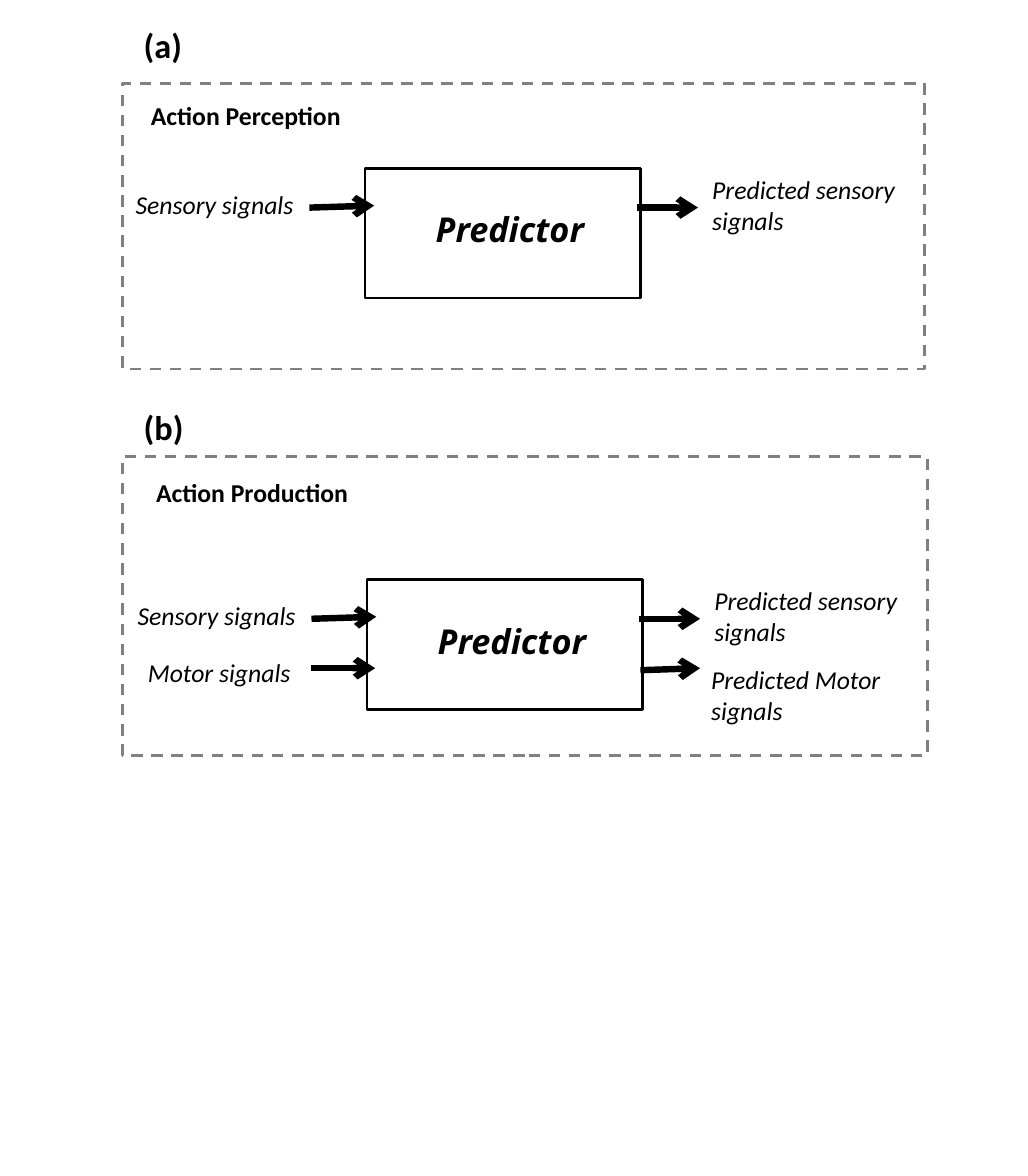
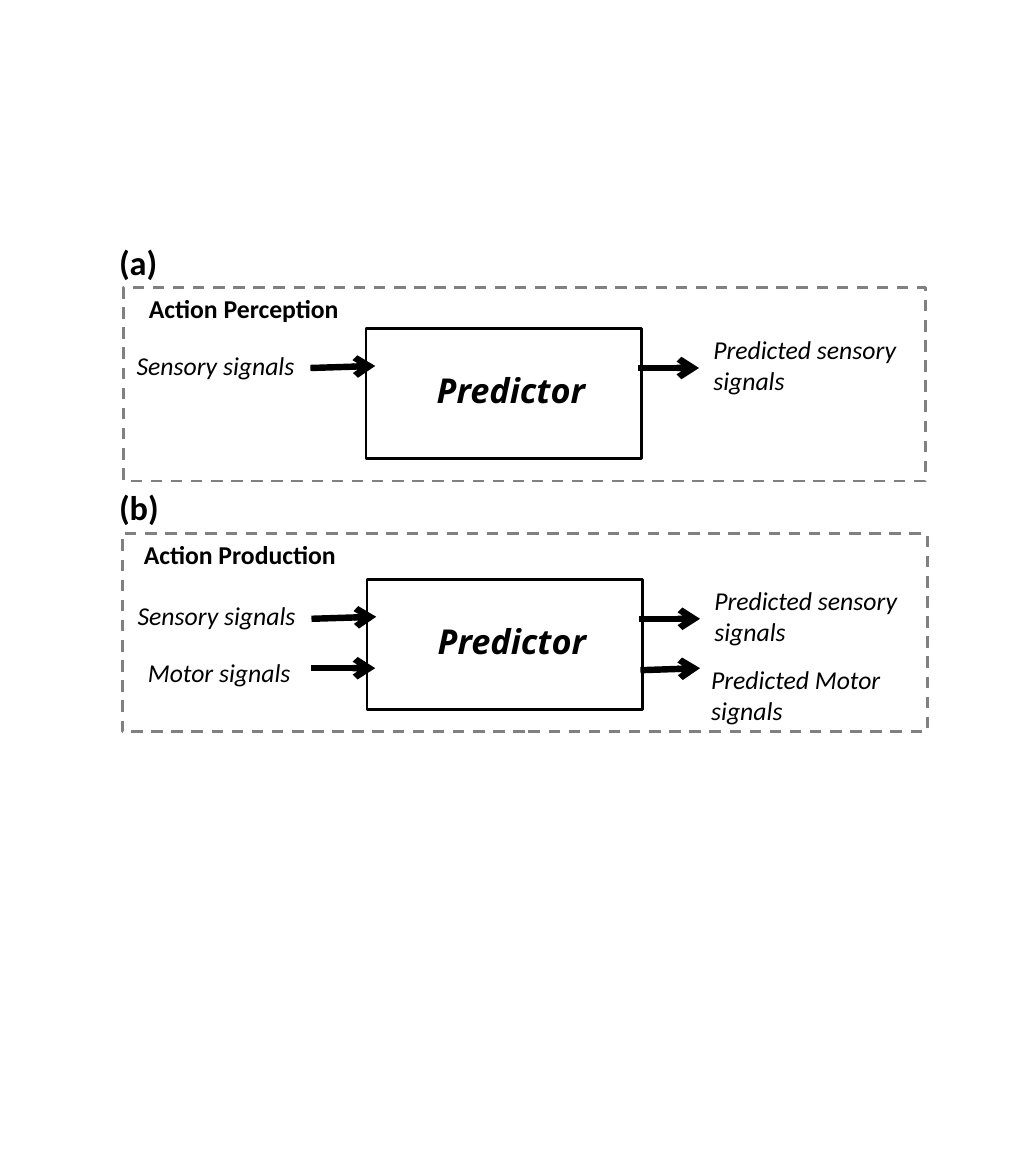
from dataclasses import dataclass

from pptx import Presentation
from pptx.dml.color import RGBColor
from pptx.enum import dml, shapes, text
from pptx.oxml.ns import qn
from pptx.util import Inches, Pt
from lxml import etree

BLACK = RGBColor(0x00, 0x00, 0x00)
WHITE = RGBColor(0xFF, 0xFF, 0xFF)
GREY = RGBColor(0x80, 0x80, 0x80)
BODY_FONT = "Calibri"
PREDICTOR_FONT = "Open Sans"
PREDICTOR_SIZE = (2.68, 1.26)


@dataclass
class Signal:
    source: str
    source_box: tuple
    arrow_in: tuple
    arrow_out: tuple
    prediction: str
    prediction_box: tuple


SENSORY = Signal("Sensory signals", (-2.33, 0.15, 1.75, 0.4),
                 (-0.54, 0.38, 0.09, 0.36), (2.65, 0.38, 3.24, 0.38),
                 "Predicted sensory signals", (3.28, 0, 2.01, 0.71))
MOTOR = Signal("Motor signals", (-2.23, 0.7, 1.6, 0.4),
               (-0.54, 0.86, 0.08, 0.86), (2.66, 0.88, 3.24, 0.86),
               "Predicted Motor signals", (3.25, 0.77, 2.04, 0.71))


@dataclass
class Panel:
    mark: str
    mark_at: tuple
    heading: str
    heading_box: tuple
    frame: tuple
    predictor_at: tuple
    signals: tuple


def add_label(slide, box, words, size=18, font=BODY_FONT, bold=False,
              italic=False, wrap=True, align=text.PP_ALIGN.LEFT):
    label = slide.shapes.add_textbox(*map(Inches, box))
    frame = label.text_frame
    frame.word_wrap = wrap
    frame.auto_size = text.MSO_AUTO_SIZE.SHAPE_TO_FIT_TEXT
    paragraph = frame.paragraphs[0]
    paragraph.alignment = align
    run = paragraph.add_run()
    run.text = words
    run.font.name = font
    run.font.size = Pt(size)
    run.font.bold = bold
    run.font.italic = italic
    run.font.color.rgb = BLACK


def add_rectangle(slide, box, color, fill=None, dash=None):
    rectangle = slide.shapes.add_shape(
        shapes.MSO_SHAPE.RECTANGLE, *map(Inches, box))
    rectangle.shadow.inherit = False
    if fill is None:
        rectangle.fill.background()
    else:
        rectangle.fill.solid()
        rectangle.fill.fore_color.rgb = fill
    rectangle.line.color.rgb = color
    rectangle.line.width = Pt(2)
    if dash is not None:
        rectangle.line.dash_style = dash


def add_arrow(slide, ends):
    arrow = slide.shapes.add_connector(
        shapes.MSO_CONNECTOR.STRAIGHT, *map(Inches, ends))
    arrow.line.color.rgb = BLACK
    arrow.line.width = Pt(4.5)
    properties = arrow._element.spPr
    head = etree.SubElement(properties.find(qn("a:ln")), qn("a:tailEnd"))
    head.set("type", "arrow")
    etree.SubElement(properties, qn("a:effectLst"))


def add_predictor(slide, left, top, signals):
    def placed(box):
        return (left + box[0], top + box[1], *box[2:])

    def placed_ends(ends):
        return (*placed(ends[:2]), *placed(ends[2:]))

    add_rectangle(slide, (left, top, *PREDICTOR_SIZE), BLACK, fill=WHITE)
    for signal in signals:
        add_arrow(slide, placed_ends(signal.arrow_in))
        add_label(slide, placed(signal.source_box), signal.source,
                  italic=True, wrap=False)
        add_label(slide, placed(signal.prediction_box), signal.prediction,
                  italic=True)
        add_arrow(slide, placed_ends(signal.arrow_out))
    add_label(slide, placed((0.41, 0.34, 2, 0.5)), "Predictor", size=24,
              font=PREDICTOR_FONT, bold=True, italic=True,
              align=text.PP_ALIGN.CENTER)


def add_panel(slide, panel):
    add_predictor(slide, *panel.predictor_at, panel.signals)
    add_label(slide, panel.heading_box, panel.heading, bold=True, wrap=False)
    add_rectangle(slide, panel.frame, GREY, dash=dml.MSO_LINE.DASH)
    add_label(slide, (*panel.mark_at, 0.94, 0.5), panel.mark, size=24,
              bold=True)


def perception(mark_at, heading_at, frame, predictor_at):
    return Panel("(a)", mark_at, "Action Perception", (*heading_at, 2.06, 0.4),
                 frame, predictor_at, (SENSORY,))


def production(mark_at, heading_at, frame):
    return Panel("(b)", mark_at, "Action Production", (*heading_at, 2.09, 0.4),
                 frame, (3.57, 5.64), (MOTOR, SENSORY))


SLIDES = (
    (production((1.3, 3.9), (1.42, 4.59), (1.19, 4.44, 7.83, 2.91)),
     perception((1.3, 0.19), (1.37, 0.92), (1.19, 0.81, 7.8, 2.78),
                (3.55, 1.64))),
    (production((1.06, 4.68), (1.3, 5.19), (1.19, 5.19, 7.83, 1.93)),
     perception((1.06, 2.3), (1.35, 2.8), (1.2, 2.8, 7.8, 1.88),
                (3.56, 3.2))),
)

deck = Presentation()
deck.slide_width = Inches(10)
deck.slide_height = Inches(11.44)
blank_layout = deck.slide_layouts[6]
for panels in SLIDES:
    slide = deck.slides.add_slide(blank_layout)
    for panel in panels:
        add_panel(slide, panel)
deck.save("out.pptx")
